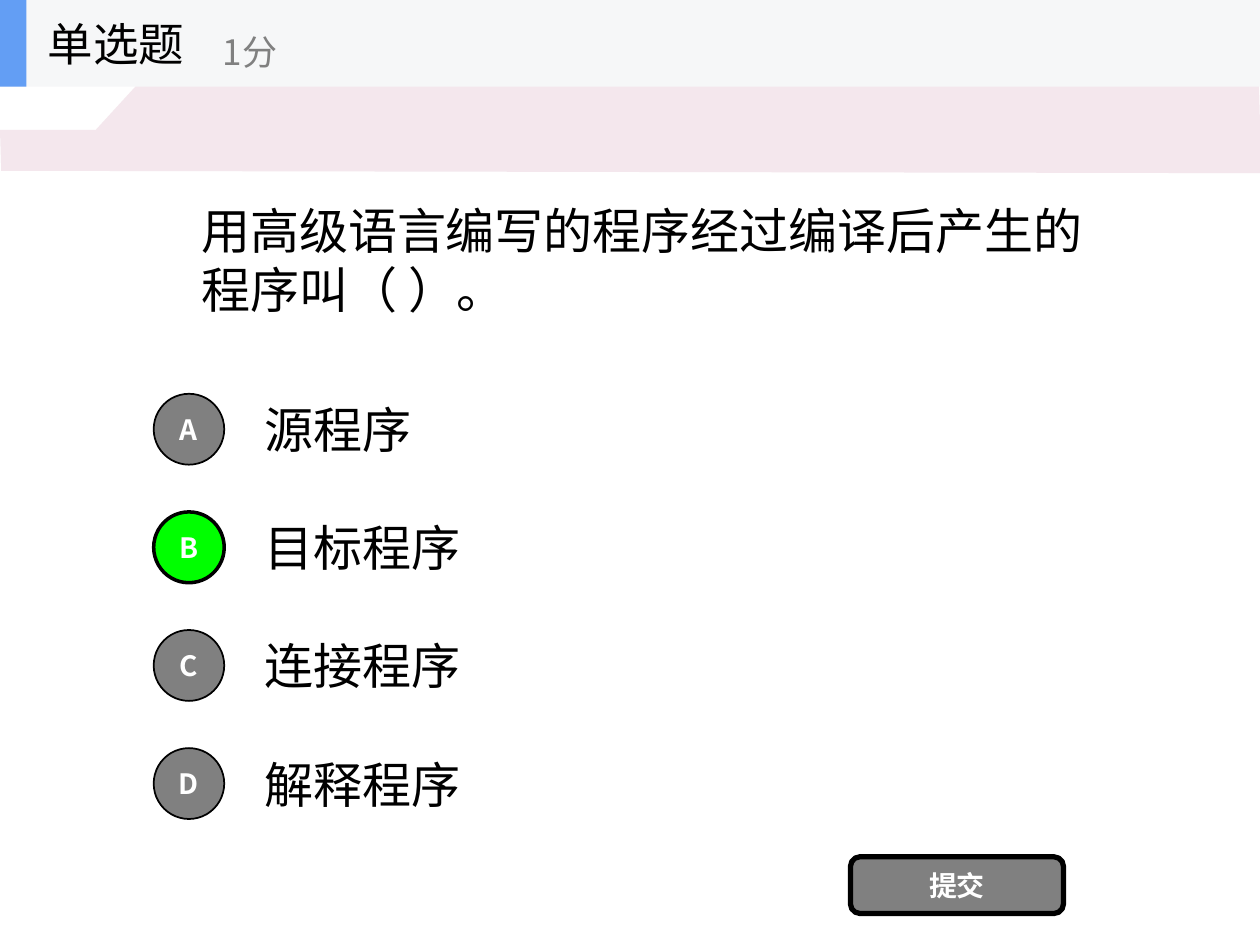
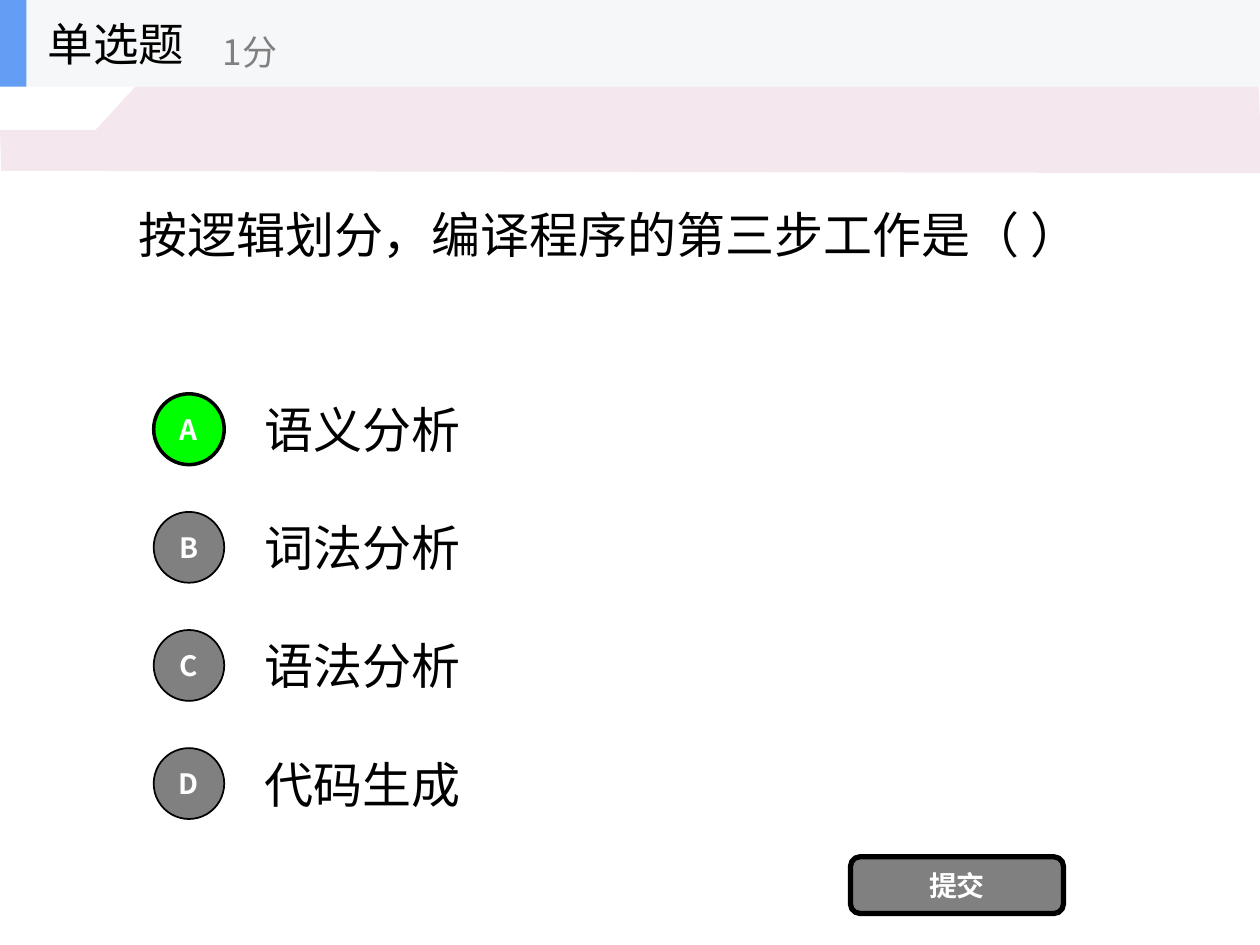
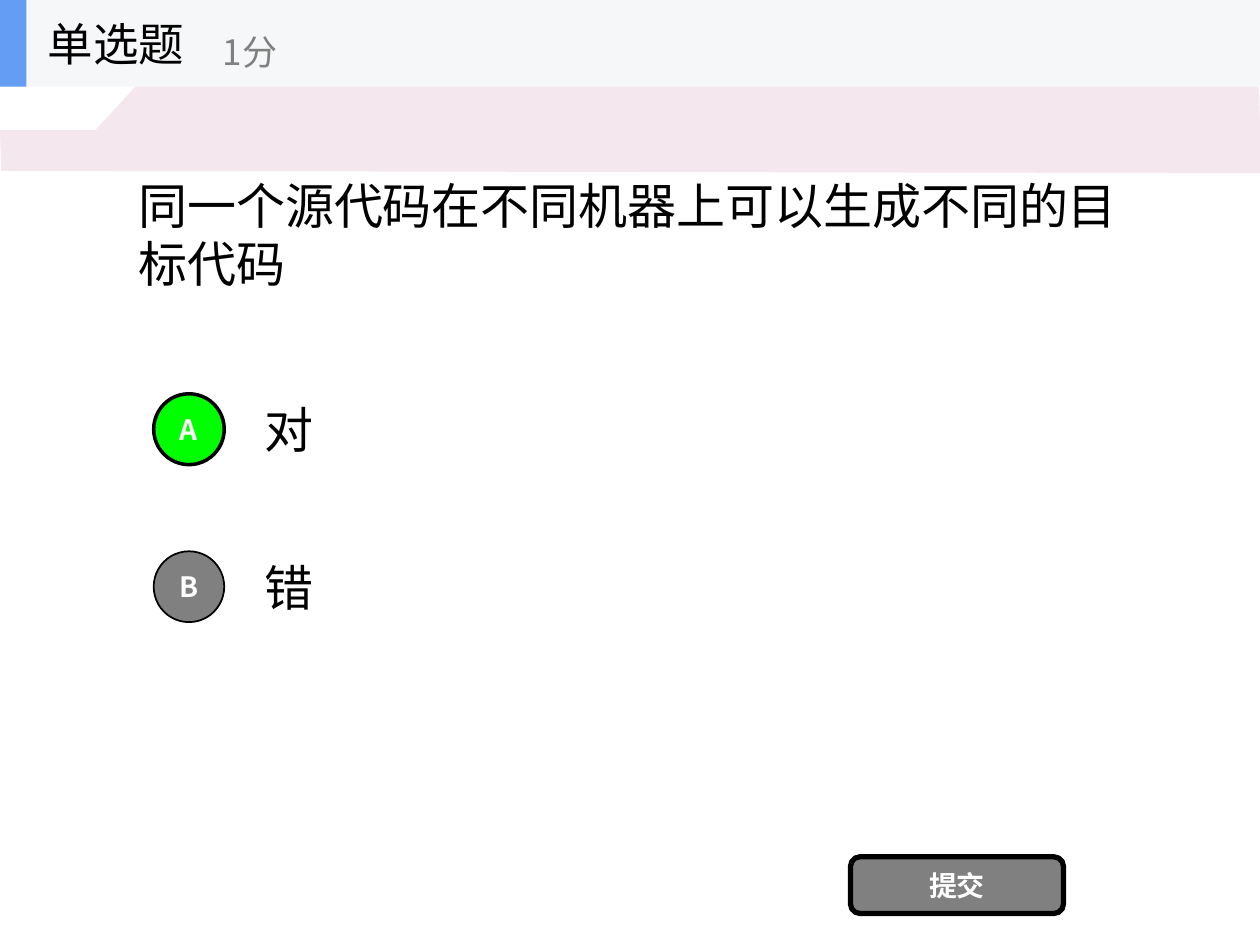
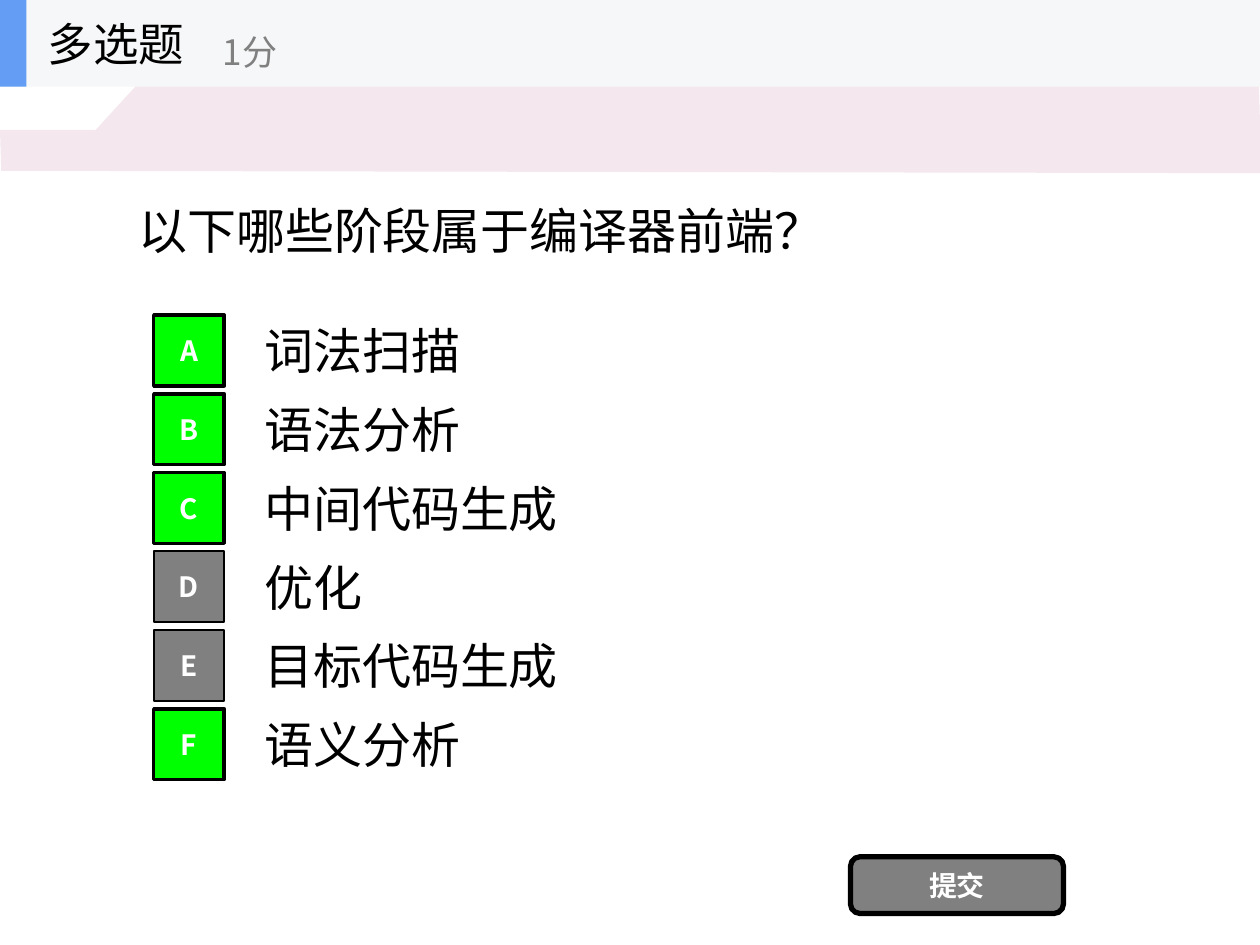
from dataclasses import dataclass

from lxml.etree import SubElement
from pptx import Presentation
from pptx.dml.color import RGBColor
from pptx.enum.shapes import MSO_SHAPE
from pptx.enum.text import MSO_ANCHOR, PP_ALIGN
from pptx.oxml.ns import qn
from pptx.shapes.autoshape import Shape
from pptx.slide import Slide
from pptx.util import Inches, Pt

SLIDE_WIDTH, SLIDE_HEIGHT = Inches(10), Inches(7.5)
COLUMN, ROW = SLIDE_WIDTH // 10, SLIDE_HEIGHT // 12

FONT = "Noto Sans CJK SC"
BLACK = RGBColor(0x00, 0x00, 0x00)
WHITE = RGBColor(0xFF, 0xFF, 0xFF)
GRAY = RGBColor(0x80, 0x80, 0x80)
GREEN = RGBColor(0x00, 0xFF, 0x00)
PINK = RGBColor(0xF4, 0xE7, 0xED)
HEADER_GRAY = RGBColor(0xF6, 0xF7, 0xF8)
ACCENT_BLUE = RGBColor(0x63, 0x9E, 0xF4)


@dataclass(frozen=True)
class Area:
    """A rectangle: left and width in columns, top and height in rows."""
    left: float
    top: float
    width: float
    height: float

    def box(self) -> tuple[int, int, int, int]:
        return (round(self.left * COLUMN), round(self.top * ROW),
                round(self.width * COLUMN), round(self.height * ROW))


@dataclass(frozen=True)
class TextStyle:
    size: int
    color: RGBColor
    bold: bool = False
    centered: bool = False
    wrap: bool = True


@dataclass(frozen=True)
class Quiz:
    kind: str
    question: str
    question_area: Area
    options: tuple[str, ...]
    answers: str
    first_row: float
    row_step: float
    badge_shape: MSO_SHAPE = MSO_SHAPE.OVAL
    indent: float = 0


BODY = TextStyle(28, BLACK)
BUTTON = TextStyle(16, WHITE, bold=True, centered=True)
KIND = TextStyle(26, BLACK, wrap=False)
POINTS = TextStyle(20, GRAY, wrap=False)

HEADER_AREA = Area(0, 0, 10, 1.1)
ACCENT_AREA = Area(0, 0, 0.21, 1.1)
KIND_AREA = Area(0.28, 0, 2.08, 1.1)
POINTS_AREA = Area(1.67, 0.2, 2.5, 0.9)
SUBMIT_AREA = Area(6.75, 10.88, 1.69, 0.72)
QUESTION_AREA = Area(1, 1.1, 8, 3.74)
BADGE_LEFT, BADGE_WIDTH, BADGE_HEIGHT = 1.22, 0.56, 0.9
OPTION_LEFT, OPTION_WIDTH, OPTION_HEIGHT = 2, 7, 1.12
BAND_OUTLINE = ((0, 1.65), (0.76, 1.65), (1.35, 0.62), (3.75, 0.62),
                (3.93, 0.96), (9.99, 0.94), (10.01, 2.2), (0.01, 2.17))

QUIZZES = (
    Quiz("单选题", "用高级语言编写的程序经过编译后产生的程序叫（ ）。",
         Area(1, 1.97, 8, 2.64),
         ("源程序", "目标程序", "连接程序", "解释程序"), "B", 5, 1.5, indent=0.5),
    Quiz("单选题", "按逻辑划分，编译程序的第三步工作是（ ）", QUESTION_AREA,
         ("语义分析", "词法分析", "语法分析", "代码生成"), "A", 5, 1.5),
    Quiz("单选题", "同一个源代码在不同机器上可以生成不同的目标代码", QUESTION_AREA,
         ("对", "错"), "A", 5, 2),
    Quiz("多选题", "以下哪些阶段属于编译器前端？", Area(1, 1.73, 8, 2.37),
         ("词法扫描", "语法分析", "中间代码生成", "优化", "目标代码生成", "语义分析"),
         "ABCF", 4, 1, MSO_SHAPE.RECTANGLE),
)


def write_text(shape: Shape, text: str, style: TextStyle, indent: float = 0) -> None:
    frame = shape.text_frame
    frame.word_wrap = style.wrap
    frame.vertical_anchor = MSO_ANCHOR.MIDDLE
    frame.text = text
    paragraph = frame.paragraphs[0]
    paragraph.alignment = PP_ALIGN.CENTER if style.centered else PP_ALIGN.LEFT
    if indent:
        paragraph.level = 1
        properties = paragraph._p.get_or_add_pPr()
        properties.set("marL", str(round(indent * COLUMN)))
        properties.set("indent", "0")
    for run in paragraph.runs:
        run.font.size = Pt(style.size)
        run.font.bold = style.bold
        run.font.color.rgb = style.color
        run.font.name = FONT
        SubElement(run._r.get_or_add_rPr(), qn("a:ea"), typeface=FONT)


def paint(shape: Shape, fill: RGBColor, line_width: float = 0) -> None:
    shape.shadow.inherit = False
    shape.fill.solid()
    shape.fill.fore_color.rgb = fill
    if line_width:
        shape.line.color.rgb = BLACK
        shape.line.width = Pt(line_width)
    else:
        shape.line.fill.background()


def add_text(shapes, area: Area, text: str, style: TextStyle, indent: float = 0) -> None:
    write_text(shapes.add_textbox(*area.box()), text, style, indent)


def add_button(slide: Slide, kind: MSO_SHAPE, area: Area, text: str,
               fill: RGBColor, line_width: float) -> None:
    button = slide.shapes.add_shape(kind, *area.box())
    paint(button, fill, line_width)
    write_text(button, text, BUTTON)


def add_band(slide: Slide) -> None:
    points = [(round(x * COLUMN), round(y * ROW)) for x, y in BAND_OUTLINE]
    builder = slide.shapes.build_freeform(*points[0])
    builder.add_line_segments(points[1:], close=True)
    paint(builder.convert_to_shape(), PINK)


def add_header(slide: Slide, kind: str) -> None:
    shapes = slide.shapes.add_group_shape().shapes
    for area, color in ((HEADER_AREA, HEADER_GRAY), (ACCENT_AREA, ACCENT_BLUE)):
        paint(shapes.add_shape(MSO_SHAPE.RECTANGLE, *area.box()), color)
    add_text(shapes, KIND_AREA, kind, KIND)
    add_text(shapes, POINTS_AREA, "1分", POINTS)


def add_options(slide: Slide, quiz: Quiz) -> None:
    for index, (letter, option) in enumerate(zip("ABCDEF", quiz.options)):
        top = quiz.first_row + index * quiz.row_step
        option_top = top + (BADGE_HEIGHT - OPTION_HEIGHT) / 2
        add_text(slide.shapes,
                 Area(OPTION_LEFT, option_top, OPTION_WIDTH, OPTION_HEIGHT), option, BODY)
        fill, line_width = (GREEN, 2) if letter in quiz.answers else (GRAY, 1)
        add_button(slide, quiz.badge_shape,
                   Area(BADGE_LEFT, top, BADGE_WIDTH, BADGE_HEIGHT),
                   letter, fill, line_width)


def add_quiz_slide(presentation, quiz: Quiz) -> None:
    slide = presentation.slides.add_slide(presentation.slide_layouts[6])
    add_band(slide)
    add_text(slide.shapes, quiz.question_area, quiz.question, BODY, quiz.indent)
    add_options(slide, quiz)
    add_button(slide, MSO_SHAPE.ROUNDED_RECTANGLE, SUBMIT_AREA, "提交", GRAY, 3)
    add_header(slide, quiz.kind)


def main() -> None:
    presentation = Presentation()
    presentation.slide_width, presentation.slide_height = SLIDE_WIDTH, SLIDE_HEIGHT
    for quiz in QUIZZES:
        add_quiz_slide(presentation, quiz)
    presentation.save("out.pptx")


if __name__ == "__main__":
    main()
